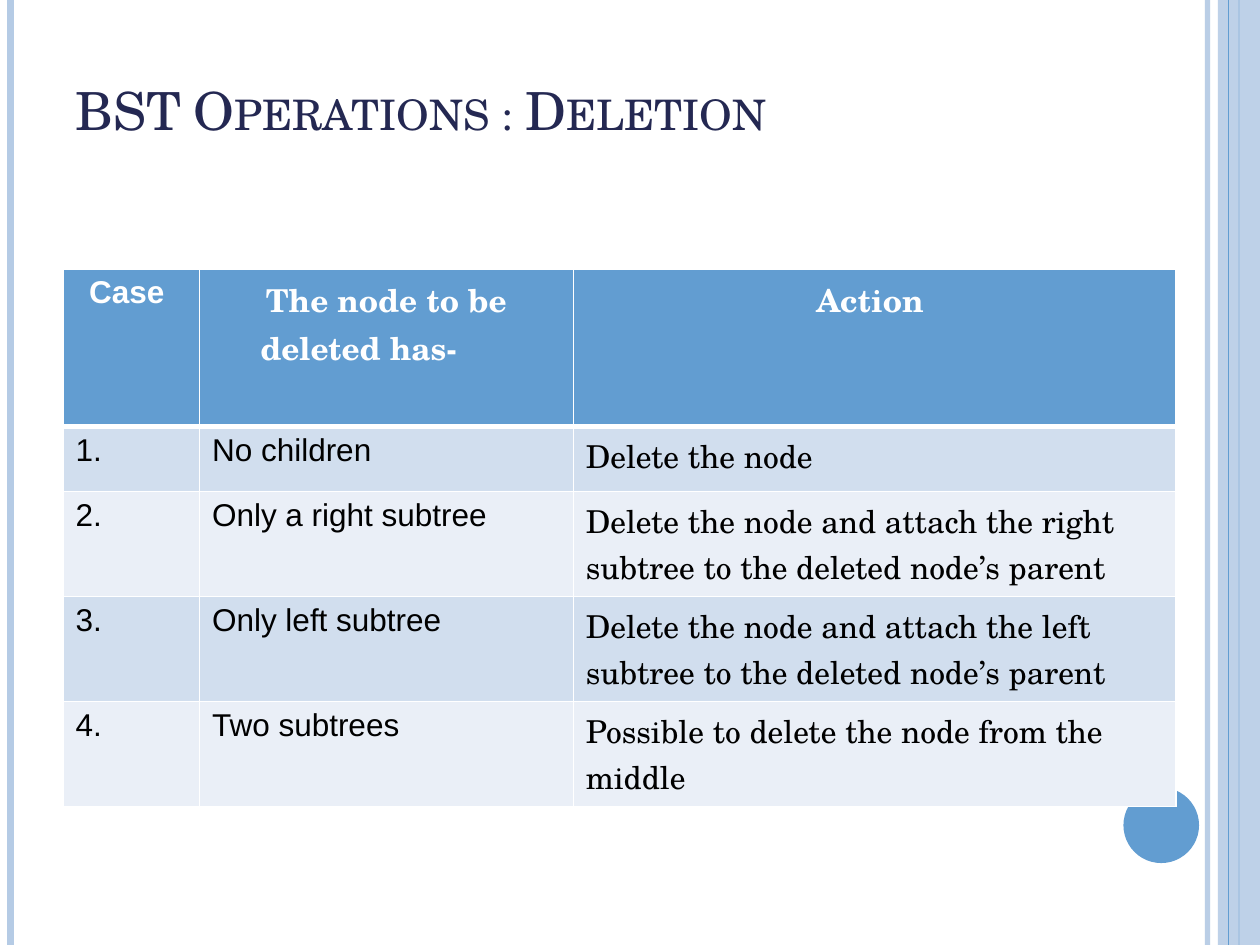
from dataclasses import dataclass

from lxml import etree
from pptx import Presentation, util as u
from pptx.dml.color import RGBColor
from pptx.enum import shapes, text
from pptx.oxml.ns import qn

TITLE_ONLY = 5
UNIT = u.Inches(10) / 120  # the slide is a grid of 120 columns and 90 rows
COLUMNS, ROWS = 120, 90


@dataclass(frozen=True)
class Theme:
    serif: str = "TeX Gyre Schola"
    sans: str = "Arial"
    title: str = "242852"
    accent: str = "629DD1"
    pale: str = "B5CBE5"
    white: str = "FFFFFF"
    black: str = "000000"
    bands: tuple[str, str] = ("D1DEEE", "EAEFF7")
    title_size: int = 30
    body_size: int = 18
    border: float = 1
    header_border: float = 3


@dataclass(frozen=True)
class Stripe:
    column: float
    color: str
    width: float
    opacity: int = 100


THEME = Theme()

LEFT_STRIPES = [
    Stripe(115, THEME.pale, 3, 93),
    Stripe(1, THEME.pale, 4.5),
    Stripe(118, THEME.accent, 1.5),
]
BAND_STRIPE = Stripe(117, THEME.accent, 0.75)

TABLE_LEFT, TABLE_TOP = 6, 25.6
TABLE_COLUMNS = [13, 35.6, 57.4]
TABLE_ROWS = [15, 6.2, 10, 10, 10]
HEADER = ("Case ", "The node to be deleted has- \t", "Action ")
CASES = [
    ("1.", "No children", "Delete the node"),
    ("2.", "Only a right subtree",
     "Delete the node and attach the right subtree to the deleted node’s parent"),
    ("3.", "Only left subtree",
     "Delete the node and attach the left subtree to the deleted node’s parent"),
    ("4.", "Two subtrees", "Possible to delete the node from the middle"),
]


def grid(*lengths: float) -> list[u.Emu]:
    return [u.Emu(round(length * UNIT)) for length in lengths]


def set_opacity(element, percent: int) -> None:
    if percent < 100:
        color = next(element.iter(qn("a:srgbClr")))
        etree.SubElement(color, qn("a:alpha"), val=str(percent * 1000))


def write(frame, content: str, *, font: str, size: float, color: str,
          bold: bool = False, small_caps: bool = False,
          align=text.PP_ALIGN.LEFT) -> None:
    paragraph = frame.paragraphs[0]
    paragraph.alignment = align
    run = paragraph.add_run()
    run.text = content
    run.font.name, run.font.size, run.font.bold = font, u.Pt(size), bold
    run.font.color.rgb = RGBColor.from_string(color)
    if small_caps:
        run.font._element.set("cap", "small")


def draw_stripe(slide, stripe: Stripe) -> None:
    line = slide.shapes.add_connector(
        shapes.MSO_CONNECTOR.STRAIGHT, *grid(stripe.column, 0, stripe.column, ROWS))
    line.line.color.rgb = RGBColor.from_string(stripe.color)
    line.line.width = u.Pt(stripe.width)
    properties = line._element.spPr
    set_opacity(properties, stripe.opacity)
    etree.SubElement(properties, qn("a:effectLst"))


def draw_shape(slide, kind, box: tuple, color: str, opacity: int = 100) -> None:
    shape = slide.shapes.add_shape(kind, *grid(*box))
    shape.shadow.inherit = False
    shape.fill.solid()
    shape.fill.fore_color.rgb = RGBColor.from_string(color)
    shape.line.fill.background()
    set_opacity(shape._element.spPr, opacity)


def draw_decoration(slide) -> None:
    for stripe in LEFT_STRIPES:
        draw_stripe(slide, stripe)
    draw_shape(slide, shapes.MSO_SHAPE.RECTANGLE,
               (116, 0, COLUMNS - 116, ROWS), THEME.pale, 87)
    draw_stripe(slide, BAND_STRIPE)
    draw_shape(slide, shapes.MSO_SHAPE.OVAL, (107, 75, 7.2, 7.2), THEME.accent)


def set_title(slide, content: str) -> None:
    title = slide.shapes.title
    title.left, title.top, title.width, title.height = grid(6, 3.6, 98, 10.4)
    frame = title.text_frame
    frame.auto_size = text.MSO_AUTO_SIZE.NONE
    frame.vertical_anchor = text.MSO_ANCHOR.BOTTOM
    write(frame, content, font=THEME.serif, size=THEME.title_size,
          color=THEME.title, small_caps=True)


def set_borders(cell, top: float, bottom: float) -> None:
    properties = cell._tc.get_or_add_tcPr()
    widths = {"lnL": THEME.border, "lnR": THEME.border, "lnT": top, "lnB": bottom}
    for index, (side, width) in enumerate(widths.items()):
        line = etree.Element(qn(f"a:{side}"), w=str(u.Pt(width)))
        fill = etree.SubElement(line, qn("a:solidFill"))
        etree.SubElement(fill, qn("a:srgbClr"), val=THEME.white)
        properties.insert(index, line)


def draw_table(slide) -> None:
    records = [HEADER, *CASES]
    box = grid(TABLE_LEFT, TABLE_TOP, sum(TABLE_COLUMNS), sum(TABLE_ROWS))
    table = slide.shapes.add_table(len(records), len(HEADER), *box).table
    table.horz_banding = False
    for column, width in zip(table.columns, grid(*TABLE_COLUMNS)):
        column.width = width
    for row, height in zip(table.rows, grid(*TABLE_ROWS)):
        row.height = height

    for row, record in enumerate(records):
        header = row == 0
        color = THEME.accent if header else THEME.bands[(row - 1) % 2]
        for column, content in enumerate(record):
            cell = table.cell(row, column)
            cell.fill.solid()
            cell.fill.fore_color.rgb = RGBColor.from_string(color)
            set_borders(cell,
                        top=THEME.header_border if row == 1 else THEME.border,
                        bottom=THEME.header_border if header else THEME.border)
            serif = column == 2 or (header and column == 1)
            write(cell.text_frame, content, bold=header, size=THEME.body_size,
                  font=THEME.serif if serif else THEME.sans,
                  color=THEME.white if header else THEME.black,
                  align=text.PP_ALIGN.CENTER if header else text.PP_ALIGN.LEFT)


def main() -> None:
    presentation = Presentation()
    presentation.slide_width, presentation.slide_height = grid(COLUMNS, ROWS)
    slide = presentation.slides.add_slide(presentation.slide_layouts[TITLE_ONLY])
    draw_decoration(slide)
    set_title(slide, "BST Operations : Deletion")
    draw_table(slide)
    presentation.save("out.pptx")


if __name__ == "__main__":
    main()
